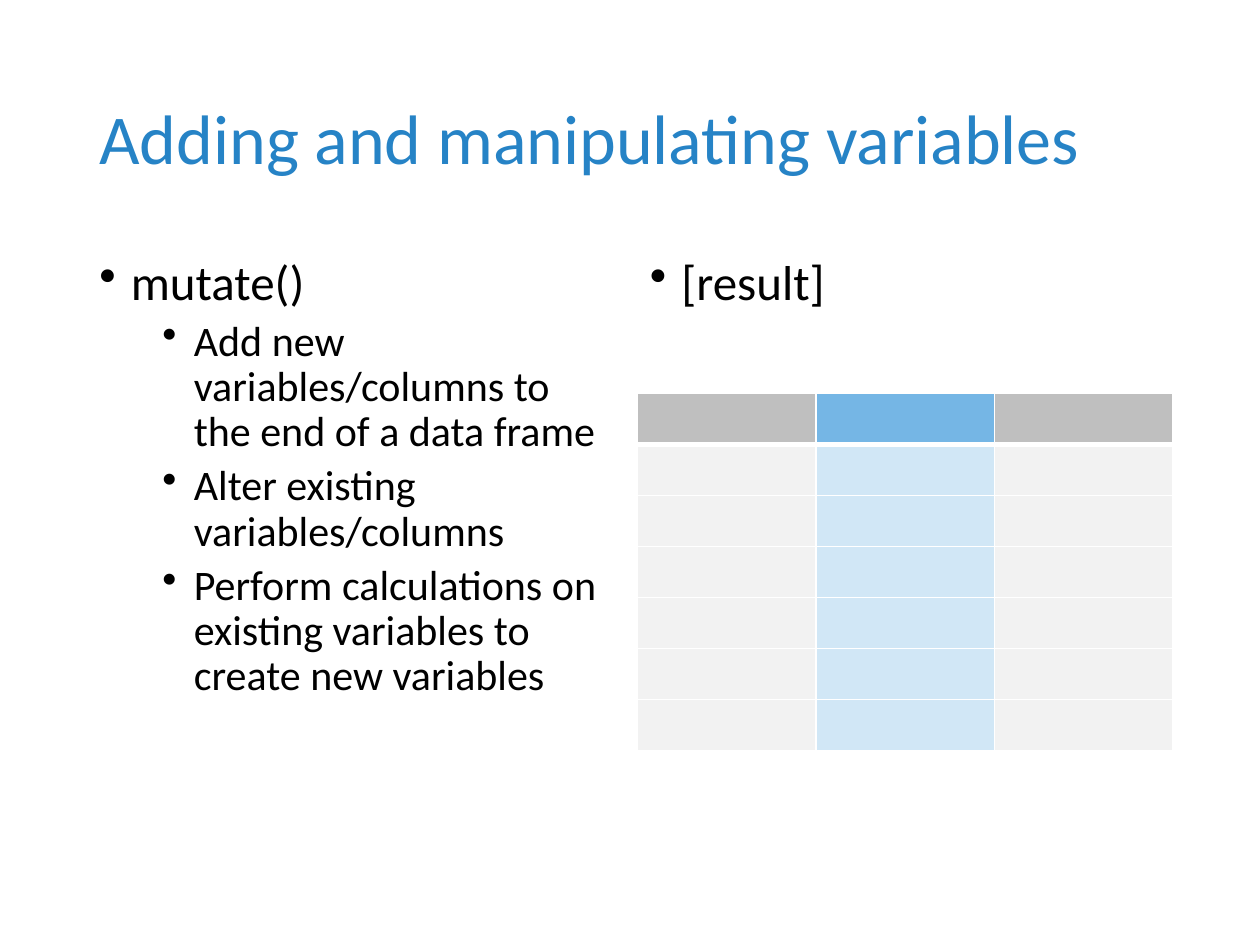
"""Build a slide about adding and manipulating data frame variables."""
import pptx
import pptx.dml.color
import pptx.enum.text
import pptx.oxml
import pptx.oxml.ns
import pptx.util
from pptx.util import Inches

BLUE = pptx.dml.color.RGBColor(0x26, 0x83, 0xC6)
BLACK = pptx.dml.color.RGBColor(0x00, 0x00, 0x00)
WHITE = pptx.dml.color.RGBColor(0xFF, 0xFF, 0xFF)
HEADER_GRAY = pptx.dml.color.RGBColor(0xBF, 0xBF, 0xBF)
HEADER_BLUE = pptx.dml.color.RGBColor(0x75, 0xB6, 0xE5)
BODY_GRAY = pptx.dml.color.RGBColor(0xF2, 0xF2, 0xF2)
BODY_BLUE = pptx.dml.color.RGBColor(0xD1, 0xE7, 0xF6)

FONT_NAME = "Calibri"
LEFT, RIGHT, COLUMN_WIDTH = 0.69, 5.06, 4.25
BODY_TOP, BODY_HEIGHT = 2, 4.76
TABLE_TOP, TABLE_HEIGHT = 3.12, 2.84
ROW_COUNT = 7
HEADER_FILLS = (HEADER_GRAY, HEADER_BLUE, HEADER_GRAY)
BODY_FILLS = (BODY_GRAY, BODY_BLUE, BODY_GRAY)

LEVELS = (
    {"size": 28, "space_before": 10, "margin": 0.25},
    {"size": 24, "space_before": 5, "margin": 0.75},
)
MUTATE_ITEMS = (
    (0, "mutate()"),
    (1, "Add new variables/columns to the end of a data frame"),
    (1, "Alter existing variables/columns"),
    (1, "Perform calculations on existing variables to create new variables"),
)
RESULT_ITEMS = ((0, "[result]"),)


def set_attributes(target, values):
    """Set each named attribute of the target."""
    for name, value in values.items():
        setattr(target, name, value)


def add_text_frame(slide, left, top, width, height, anchor):
    """Add a wrapping text box and return its text frame."""
    shape = slide.shapes.add_textbox(Inches(left), Inches(top), Inches(width), Inches(height))
    set_attributes(shape.text_frame, {"word_wrap": True, "vertical_anchor": anchor})
    return shape.text_frame


def write_paragraph(paragraph, text, size, color, space_before=0):
    """Write one formatted run in a paragraph."""
    set_attributes(paragraph, {"line_spacing": 0.9, "space_before": pptx.util.Pt(space_before)})
    run = paragraph.add_run()
    run.text = text
    set_attributes(run.font, {"name": FONT_NAME, "size": pptx.util.Pt(size)})
    run.font.color.rgb = color


def add_bullet(paragraph, margin):
    """Give a paragraph a bullet with a hanging indent."""
    properties = paragraph._p.get_or_add_pPr()
    properties.set("marL", str(Inches(margin)))
    properties.set("indent", str(Inches(-0.25)))
    bullet = pptx.oxml.parse_xml(f'<a:buChar {pptx.oxml.ns.nsdecls("a")} char="•"/>')
    properties.append(bullet)


def add_title(slide, text):
    """Add the slide title."""
    frame = add_text_frame(slide, LEFT, 0.4, 8.62, 1.45, pptx.enum.text.MSO_ANCHOR.MIDDLE)
    write_paragraph(frame.paragraphs[0], text, 40, BLUE)


def add_bullet_list(slide, left, items):
    """Add a column of bulleted items given as level and text."""
    frame = add_text_frame(
        slide, left, BODY_TOP, COLUMN_WIDTH, BODY_HEIGHT, pptx.enum.text.MSO_ANCHOR.TOP
    )
    for index, (level, text) in enumerate(items):
        paragraph = frame.add_paragraph() if index else frame.paragraphs[0]
        style = LEVELS[level]
        paragraph.level = level
        write_paragraph(paragraph, text, style["size"], BLACK, style["space_before"])
        add_bullet(paragraph, style["margin"])


def format_cell(cell, fill, border_widths):
    """Give a cell white borders and a solid fill."""
    properties = cell._tc.get_or_add_tcPr()
    for side, width in border_widths.items():
        border = pptx.oxml.parse_xml(
            f'<a:ln{side} {pptx.oxml.ns.nsdecls("a")} w="{pptx.util.Pt(width)}">'
            f'<a:solidFill><a:srgbClr val="{WHITE}"/></a:solidFill></a:ln{side}>'
        )
        properties.append(border)
    cell.fill.solid()
    cell.fill.fore_color.rgb = fill


def add_result_table(slide):
    """Add the empty data frame with its middle column highlighted."""
    table = slide.shapes.add_table(
        ROW_COUNT, len(HEADER_FILLS), Inches(RIGHT), Inches(TABLE_TOP),
        Inches(COLUMN_WIDTH), Inches(TABLE_HEIGHT),
    ).table
    for row_index in range(ROW_COUNT):
        fills = BODY_FILLS if row_index else HEADER_FILLS
        border_widths = {
            "L": 1, "R": 1, "T": 3 if row_index == 1 else 1, "B": 1 if row_index else 3
        }
        for column_index, fill in enumerate(fills):
            format_cell(table.cell(row_index, column_index), fill, border_widths)


def main():
    """Build and save the presentation."""
    presentation = pptx.Presentation()
    set_attributes(presentation, {"slide_width": Inches(10), "slide_height": Inches(7.5)})
    slide = presentation.slides.add_slide(presentation.slide_layouts[6])
    add_title(slide, "Adding and manipulating variables")
    add_bullet_list(slide, LEFT, MUTATE_ITEMS)
    add_bullet_list(slide, RIGHT, RESULT_ITEMS)
    add_result_table(slide)
    presentation.save("out.pptx")


if __name__ == "__main__":
    main()
